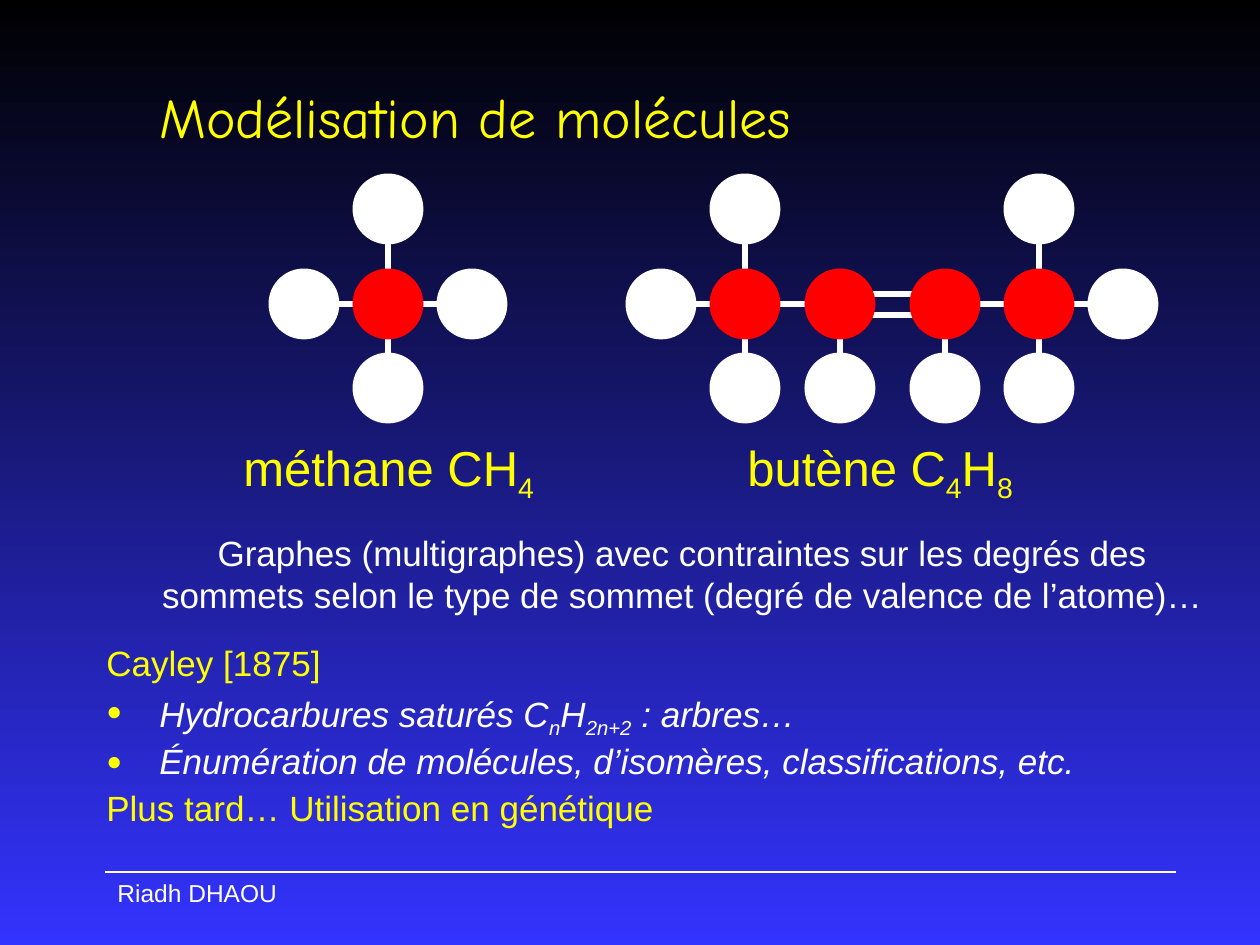
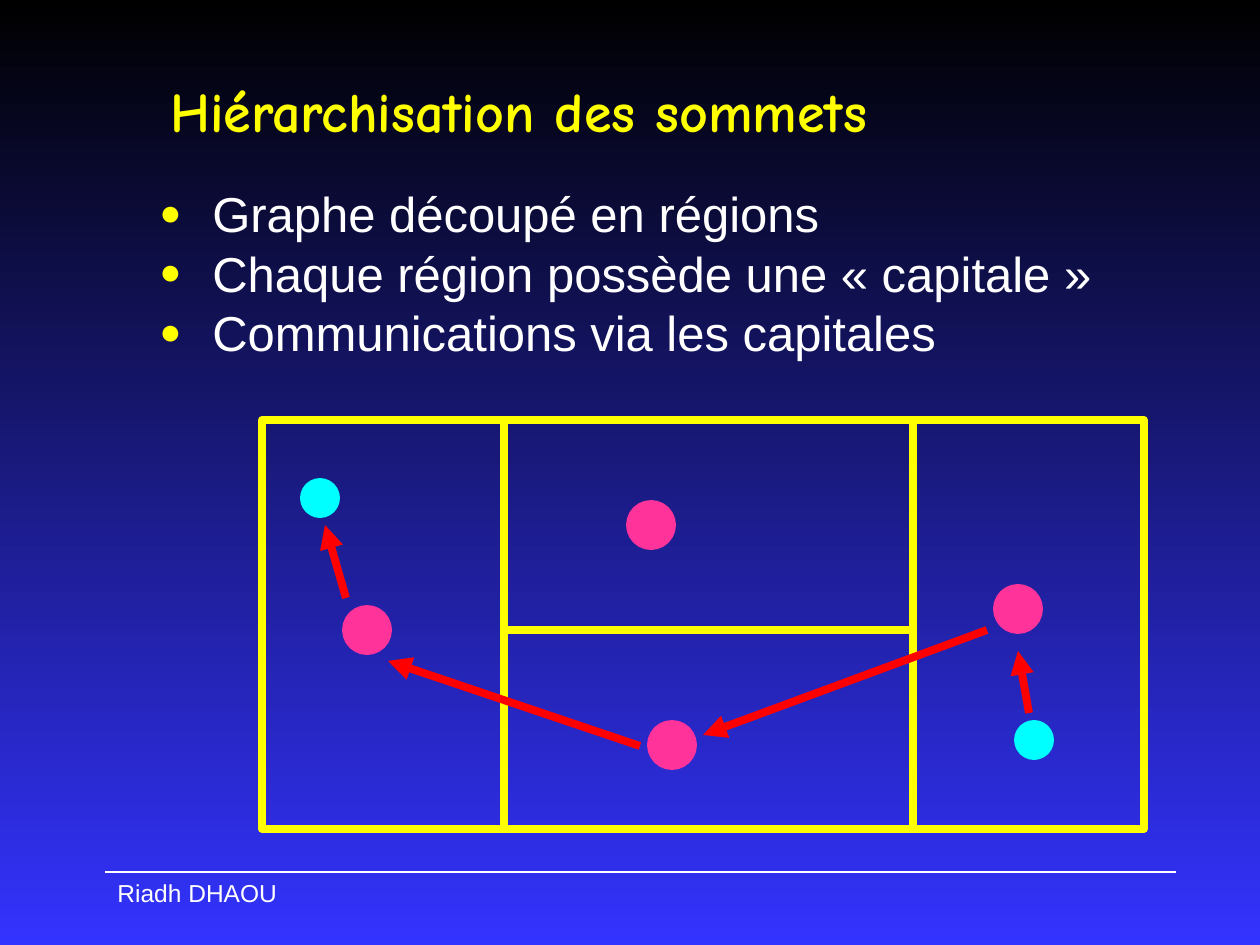
from lxml import etree
from pptx import Presentation
from pptx import util as u
from pptx.dml.color import RGBColor
from pptx.enum import shapes, text
from pptx.oxml import ns

PX = 914400 / 126  # one px in EMU
BLACK, BLUE = RGBColor(0, 0, 0), RGBColor(0x33, 0x33, 0xFF)
WHITE, YELLOW = RGBColor(255, 255, 255), RGBColor(255, 255, 0)
RED, PINK = RGBColor(255, 0, 0), RGBColor(0xFF, 0x33, 0x99)
CYAN = RGBColor(0, 255, 255)
BODY, HEAD = "Arial", "Comic Neue"

# Every second part between bars is a subscript
AUTHOR = "Riadh DHAOU"
MOL_TITLE = "Modélisation de molécules"
NAMES = [("méthane CH|4", (231, 431, 357, 84)),
         ("butène C|4|H|8", (735, 431, 367, 84))]
NOTE = ("Graphes (multigraphes) avec contraintes sur les degrés des sommets "
        "selon le type de sommet (degré de valence de l’atome)…")
FACTS = [  # text, bulleted
    ("Cayley [1875]", False),
    ("Hydrocarbures saturés C|n|H|2n+2| : arbres…", True),
    ("Énumération de molécules, d’isomères, classifications, etc.", True),
    ("Plus tard… Utilisation en génétique", False),
]
# Carbon centre x, and the sides that hold a hydrogen
METHANE = [(388, "LRUD")]
BUTENE = [(745, "LUD"), (840, "D"), (945, "D"), (1039, "RUD")]
DOUBLE = 1  # index of the carbon that starts the double bond
SIDES = {"L": (-1, 0, 84), "R": (1, 0, 84), "U": (0, -1, 95), "D": (0, 1, 84)}
ROW, ATOM, TRIM = 304, 63, 21

REG_TITLE = "Hiérarchisation des sommets"
POINTS = ["Graphe découpé en régions",
          "Chaque région possède une « capitale »",
          "Communications via les capitales"]
MAP = (262, 420, 882, 409)
WALLS = [(504, 420, 504, 829), (913, 420, 913, 829), (504, 630, 913, 630)]
CAPITALS = [(367, 630), (672, 745), (651, 525), (1018, 609)]
TOWNS = [(1034, 740), (320, 498)]
ROUTE = [(1029, 713, 1018, 651), (987, 630, 703, 735),
         (640, 746, 388, 661), (346, 598, 325, 525)]


def emu(*vals):
    return [u.Emu(round(v * PX)) for v in vals]


def link(slide, ends, color, width, arrow=False):
    line = slide.shapes.add_connector(shapes.MSO_CONNECTOR.STRAIGHT, *emu(*ends))
    line.line.color.rgb = color
    line.line.width = u.Pt(width)
    if arrow:
        ln = line.line._get_or_add_ln()
        etree.SubElement(ln, ns.qn("a:tailEnd"), type="triangle")
    etree.SubElement(line._element.spPr, ns.qn("a:effectLst"))


def form(slide, kind, box, color, filled=True):
    part = slide.shapes.add_shape(kind, *emu(*box))
    part.shadow.inherit = False
    if filled:
        part.fill.solid()
        part.fill.fore_color.rgb = color
    else:
        part.fill.background()
    part.line.color.rgb = color
    part.line.width = u.Pt(4.5)


def disc(slide, x, y, size, color):
    form(slide, shapes.MSO_SHAPE.OVAL,
         (x - size / 2, y - size / 2, size, size), color)


def bullet(para):
    props = para._p.get_or_add_pPr()
    color = etree.SubElement(props, ns.qn("a:buClr"))
    etree.SubElement(color, ns.qn("a:srgbClr"), val=str(YELLOW))
    etree.SubElement(props, ns.qn("a:buSzPct"), val="75000")
    etree.SubElement(props, ns.qn("a:buFont"), typeface=BODY)
    etree.SubElement(props, ns.qn("a:buChar"), char="●")


def indent(para):
    props = para._p.get_or_add_pPr()
    props.set("marL", str(emu(53)[0]))
    props.set("indent", str(emu(-53)[0]))


def write(para, words, size, color, font=BODY, bold=False, italic=False):
    for i, part in enumerate(words.split("|")):
        run = para.add_run()
        run.text = part
        run.font.size, run.font.name = u.Pt(size), font
        run.font.color.rgb = color
        run.font.bold, run.font.italic = bold, italic
        if i % 2:
            run._r.get_or_add_rPr().set("baseline", "-25000")


def frame(slide, box):
    area = slide.shapes.add_textbox(*emu(*box)).text_frame
    area.word_wrap = True
    return area


def label(slide, box, words, size, color, **style):
    area = frame(slide, box)
    write(area.paragraphs[0], words, size, color, **style)
    return area


def items(slide, box, rows, size, gap, lead):
    """Rows of (text, bulleted, colour, italic)."""
    area = frame(slide, box)
    for i, (words, dot, color, italic) in enumerate(rows):
        para = area.add_paragraph() if i else area.paragraphs[0]
        para.line_spacing = lead
        if i:
            para.space_before = u.Pt(gap)
        indent(para)
        if dot:
            bullet(para)
        write(para, words, size, color, italic=italic)


def page(deck, title, box, bold=False):
    slide = deck.slides.add_slide(deck.slide_layouts[6])
    fill = slide.background.fill
    fill.gradient()
    fill.gradient_angle = 270
    for stop, color, pos in zip(fill.gradient_stops, (BLACK, BLUE), (0, 1)):
        stop.color.rgb = color
        stop.position = pos
    link(slide, (105, 872, 1176, 872), WHITE, 1)
    label(slide, (105, 872, 242, 43), AUTHOR, 14, WHITE)
    head = label(slide, box, title, 32, YELLOW, font=HEAD, bold=bold)
    head.vertical_anchor = text.MSO_ANCHOR.MIDDLE
    return slide


def molecule(slide, chain, double=None):
    hydro = [(x, SIDES[s]) for x, sides in chain for s in sides]
    # Bonds first, so the atoms cover their ends
    for x, (dx, dy, gap) in hydro:
        far = gap - TRIM
        link(slide, (x + dx * TRIM, ROW + dy * TRIM,
                     x + dx * far, ROW + dy * far), WHITE, 3)
    for i, ((a, _), (b, _)) in enumerate(zip(chain, chain[1:])):
        for shift in ((-10, 11) if i == double else (0,)):
            link(slide, (a + 32, ROW + shift, b - 32, ROW + shift), WHITE, 3)
    for x, _ in chain:
        disc(slide, x, ROW, ATOM, RED)
    for x, (dx, dy, gap) in hydro:
        disc(slide, x + dx * gap, ROW + dy * gap, ATOM, WHITE)


def molecules(deck):
    slide = page(deck, MOL_TITLE, (147, 53, 1071, 126))
    molecule(slide, METHANE)
    molecule(slide, BUTENE, DOUBLE)
    for words, box in NAMES:
        label(slide, box, words, 28, YELLOW)
    note = label(slide, (147, 525, 1071, 136), NOTE, 20, WHITE)
    note.paragraphs[0].alignment = text.PP_ALIGN.CENTER
    rows = [(words, dot, WHITE if dot else YELLOW, dot) for words, dot in FACTS]
    items(slide, (94, 640, 1124, 210), rows, 20, 5, 0.9)


def regions(deck):
    slide = page(deck, REG_TITLE, (158, 32, 1071, 157), bold=True)
    rows = [(words, True, WHITE, False) for words in POINTS]
    items(slide, (147, 189, 1071, 179), rows, 28, 7, 0.8)
    # Map with its regions, cities and route
    form(slide, shapes.MSO_SHAPE.RECTANGLE, MAP, YELLOW, filled=False)
    for ends in WALLS:
        link(slide, ends, YELLOW, 4.5)
    for cities, size, color in ((CAPITALS, 42, PINK), (TOWNS, 32, CYAN)):
        for x, y in cities:
            disc(slide, x, y, size, color)
    for ends in ROUTE:
        link(slide, ends, RED, 4.5, arrow=True)


def main():
    deck = Presentation()
    deck.slide_width, deck.slide_height = emu(1260, 945)
    molecules(deck)
    regions(deck)
    deck.save("out.pptx")


if __name__ == "__main__":
    main()
